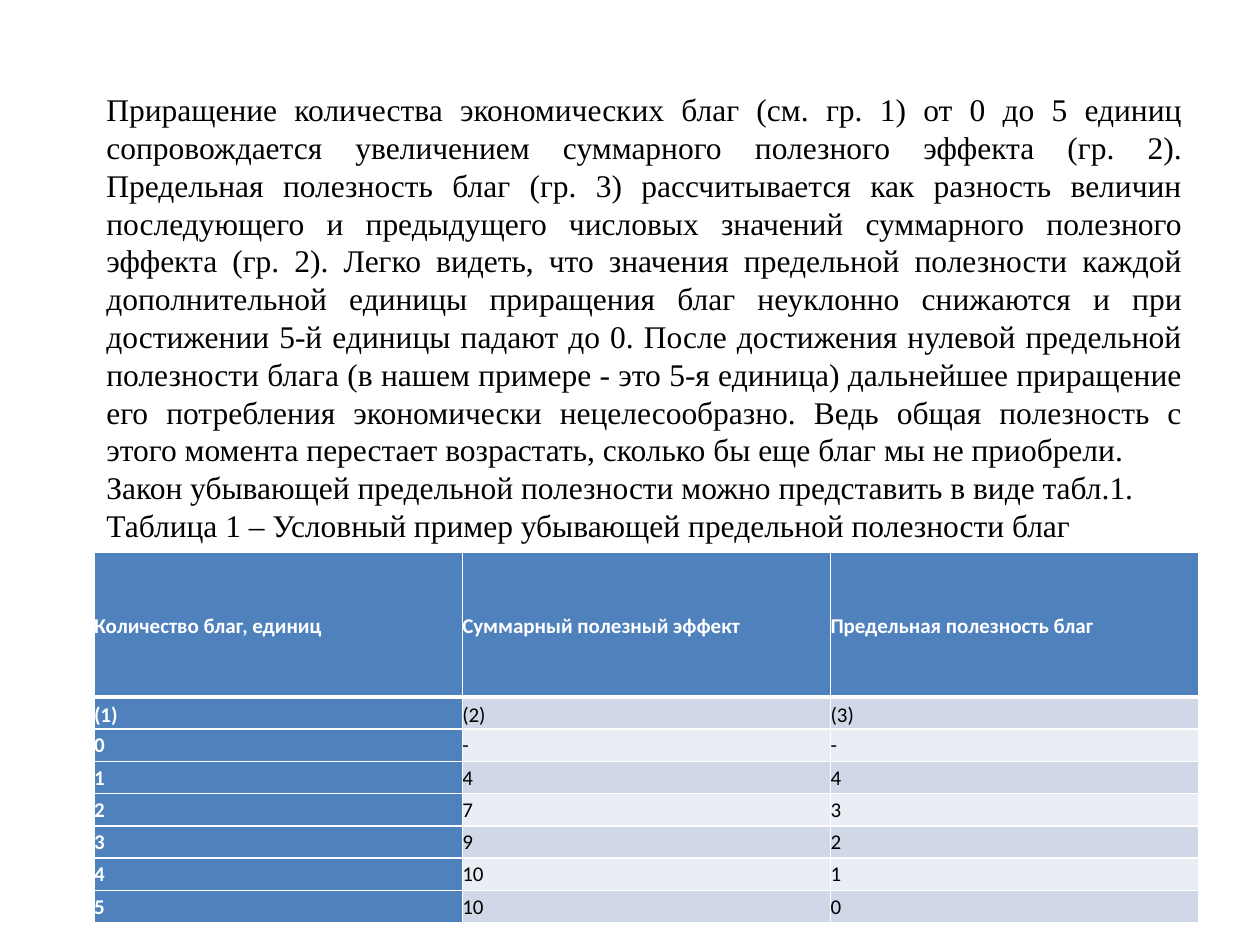
from lxml.etree import SubElement
from pptx import Presentation
from pptx.dml.color import RGBColor
from pptx.enum.text import MSO_ANCHOR, PP_ALIGN
from pptx.oxml.ns import qn
from pptx.util import Emu, Pt

EMU_PER_PX = 914400 // 126
BLUE, WHITE, BLACK = "4F81BD", "FFFFFF", "000000"
BANDS = ("D0D8E8", "E9EDF4")

PARAGRAPHS = [
    "Приращение количества экономических благ (см. гр. 1) от 0 до 5 единиц "
    "сопровождается увеличением суммарного полезного эффекта (гр. 2). "
    "Предельная полезность благ (гр. 3) рассчитывается как разность величин "
    "последующего и предыдущего числовых значений суммарного полезного "
    "эффекта (гр. 2). Легко видеть, что значения предельной полезности каждой "
    "дополнительной единицы приращения благ неуклонно снижаются и при "
    "достижении 5-й единицы падают до 0. После достижения нулевой предельной "
    "полезности блага (в нашем примере - это 5-я единица) дальнейшее приращение "
    "его потребления экономически нецелесообразно. Ведь общая полезность с "
    "этого момента перестает возрастать, сколько бы еще благ мы не приобрели.",
    "Закон убывающей предельной полезности можно представить в виде табл.1.",
    "Таблица 1 – Условный пример убывающей предельной полезности благ",
]

UTILITY_ROWS = [
    ("Количество благ, единиц", "Суммарный полезный эффект", "Предельная полезность благ"),
    ("(1)", "(2)", "(3)"),
    ("0", "-", "-"),
    ("1", "4", "4"),
    ("2", "7", "3"),
    ("3", "9", "2"),
    ("4", "10", "1"),
    ("5", "10", "0"),
]

BODY_FONT = {"name": "Times New Roman", "size": Pt(18)}
CELL_FONT = {"name": "Calibri", "size": Pt(12)}
BODY_PARAGRAPH = {"alignment": PP_ALIGN.JUSTIFY, "line_spacing": Pt(21.6)}
CELL_PARAGRAPH = {"alignment": PP_ALIGN.JUSTIFY, "line_spacing": 1.15, "space_after": Pt(10)}
NO_MARGINS = {"margin_left": 0, "margin_top": 0, "margin_right": 0, "margin_bottom": 0}


def px(length):
    return Emu(length * EMU_PER_PX)


def color(value):
    return RGBColor.from_string(value)


def apply(target, values):
    for name, value in values.items():
        setattr(target, name, value)


def write(para, text, para_format, font_format, font_color):
    apply(para, para_format)
    span = para.add_run()
    span.text = text
    apply(span.font, font_format)
    span.font.color.rgb = color(font_color)


def add_text(page, left, top, width, height, texts):
    box = page.shapes.add_textbox(px(left), px(top), px(width), px(height))
    frame = box.text_frame
    frame.word_wrap = True
    for index, text in enumerate(texts):
        para = frame.add_paragraph() if index else frame.paragraphs[0]
        write(para, text, BODY_PARAGRAPH, BODY_FONT, BLACK)


def add_borders(cell, widths):
    properties = cell._tc.get_or_add_tcPr()
    for side, points in widths.items():
        line = SubElement(properties, qn(f"a:ln{side}"), w=str(Pt(points)))
        fill = SubElement(line, qn("a:solidFill"))
        SubElement(fill, qn("a:srgbClr"), val=WHITE)


def style_cell(cell, text, row, column):
    is_heading = row == 0 or column == 0
    apply(cell, NO_MARGINS)
    cell.vertical_anchor = MSO_ANCHOR.MIDDLE if row < 2 else MSO_ANCHOR.TOP
    add_borders(cell, {"L": 1, "R": 1, "T": 3 if row == 1 else 1, "B": 3 if row == 0 else 1})
    cell.fill.solid()
    cell.fill.fore_color.rgb = color(BLUE if is_heading else BANDS[(row - 1) % 2])
    write(cell.text_frame.paragraphs[0], text, CELL_PARAGRAPH,
          {**CELL_FONT, "bold": is_heading}, WHITE if is_heading else BLACK)


def add_utility_table(page, left, top, width, header_height, body_height, rows):
    frame = page.shapes.add_table(len(rows), len(rows[0]), px(left), px(top),
                                  px(width), px(header_height + body_height))
    table = frame.table
    for index, table_row in enumerate(table.rows):
        table_row.height = px(body_height) // (len(rows) - 1) if index else px(header_height)
    for row, texts in enumerate(rows):
        for column, text in enumerate(texts):
            style_cell(table.cell(row, column), text, row, column)


def main():
    deck = Presentation()
    deck.slide_width, deck.slide_height = px(1260), px(945)
    page = deck.slides.add_slide(deck.slide_layouts[6])
    add_text(page, 94, 84, 1101, 699, PARAGRAPHS)
    add_utility_table(page, 94, 552, 1105, 145, 226, UTILITY_ROWS)
    deck.save("out.pptx")


if __name__ == "__main__":
    main()
